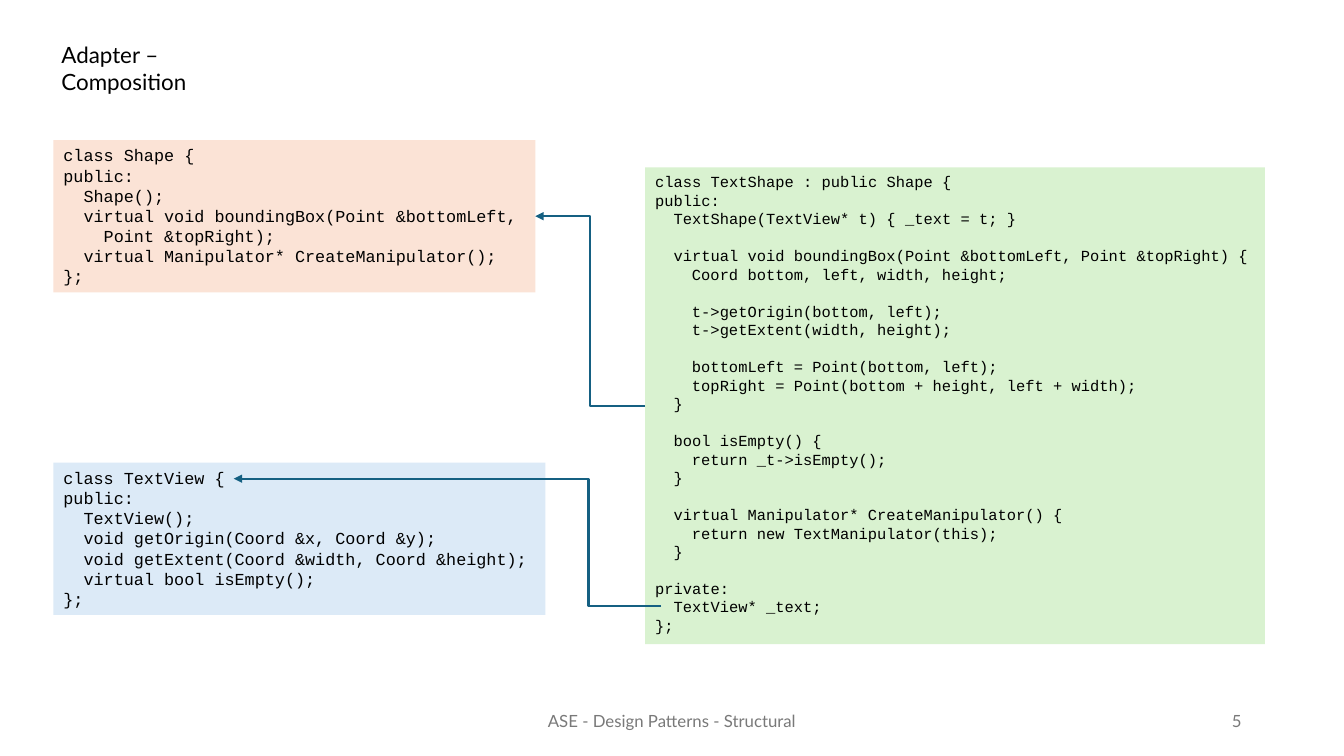
import pptx
import pptx.dml.color
import pptx.enum.shapes
import pptx.enum.text
import pptx.oxml
import pptx.oxml.ns
import pptx.shapes.autoshape
import pptx.shapes.connector
import pptx.slide
import pptx.text.text
import pptx.util
from dataclasses import dataclass

Pt = pptx.util.Pt
Align = pptx.enum.text.PP_ALIGN
Anchor = pptx.enum.text.MSO_ANCHOR


@dataclass(frozen=True)
class Theme:
    sans: str = "Lato"
    mono: str = "Courier New"
    ink: str = "000000"
    gray: str = "797979"
    line: str = "156082"
    peach: str = "FBE3D6"
    blue: str = "DCEAF7"
    green: str = "D9F2D0"
    title: float = 16
    code: float = 12
    small: float = 11
    foot: float = 12
    stroke: float = 1.5


@dataclass(frozen=True)
class Box:
    left: float
    top: float
    width: float
    height: float

    def lengths(self) -> list[pptx.util.Length]:
        return [Pt(n) for n in (self.left, self.top, self.width, self.height)]


@dataclass(frozen=True)
class Panel:
    box: Box
    fill: str
    size: float
    code: str


@dataclass(frozen=True)
class Note:
    box: Box
    text: str
    align: Align


THEME = Theme()

# Code panels
SHAPE = Panel(Box(38.2, 100.1, 344.2, 108.7), THEME.peach, THEME.code, """\
class Shape {
public:
  Shape();
  virtual void boundingBox(Point &bottomLeft,
    Point &topRight);
  virtual Manipulator* CreateManipulator();
};""")

VIEW = Panel(Box(38.2, 330.5, 351.4, 108.7), THEME.blue, THEME.code, """\
class TextView {
public:
  TextView();
  void getOrigin(Coord &x, Coord &y);
  void getExtent(Coord &width, Coord &height);
  virtual bool isEmpty();
};""")

ADAPTER = Panel(Box(460.8, 119.5, 442.8, 340.6), THEME.green, THEME.small, """\
class TextShape : public Shape {
public:
  TextShape(TextView* t) { _text = t; }

  virtual void boundingBox(Point &bottomLeft, Point &topRight) {
    Coord bottom, left, width, height;

    t->getOrigin(bottom, left);
    t->getExtent(width, height);

    bottomLeft = Point(bottom, left);
    topRight = Point(bottom + height, left + width);
  }

  bool isEmpty() {
    return _t->isEmpty();
  }

  virtual Manipulator* CreateManipulator() {
    return new TextManipulator(this);
  }

private:
  TextView* _text;
};""")

NOTES = (
    Note(Box(318, 500.5, 324, 28.8), "ASE - Design Patterns - Structural", Align.CENTER),
    Note(Box(678, 500.5, 216, 28.8), "5", Align.RIGHT),
)


def color(code: str) -> pptx.dml.color.RGBColor:
    return pptx.dml.color.RGBColor.from_string(code)


def style(para: pptx.text.text._Paragraph, face: str, size: float, tint: str,
          align: Align = Align.LEFT) -> None:
    para.alignment = align
    for run in para.runs:
        run.font.name = face
        run.font.size = Pt(size)
        run.font.color.rgb = color(tint)


def add_title(slide: pptx.slide.Slide, text: str) -> None:
    title = slide.shapes.title
    title.left, title.top, title.width, title.height = Box(36.7, 25.9, 174, 46).lengths()
    frame = title.text_frame
    frame.text = text
    frame.word_wrap = True
    frame.auto_size = pptx.enum.text.MSO_AUTO_SIZE.NONE
    frame.vertical_anchor = Anchor.TOP
    frame.margin_right = Pt(14)
    style(frame.paragraphs[0], THEME.sans, THEME.title, THEME.ink)


def add_note(slide: pptx.slide.Slide, note: Note) -> None:
    frame = slide.shapes.add_textbox(*note.box.lengths()).text_frame
    frame.text = note.text
    frame.word_wrap = True
    frame.vertical_anchor = Anchor.MIDDLE
    style(frame.paragraphs[0], THEME.sans, THEME.foot, THEME.gray, note.align)


def add_panel(slide: pptx.slide.Slide, panel: Panel) -> pptx.shapes.autoshape.Shape:
    kind = pptx.enum.shapes.MSO_SHAPE.RECTANGLE
    shape = slide.shapes.add_shape(kind, *panel.box.lengths())
    shape.shadow.inherit = False
    shape.fill.solid()
    shape.fill.fore_color.rgb = color(panel.fill)
    shape.line.fill.background()
    frame = shape.text_frame
    frame.word_wrap = True
    frame.vertical_anchor = Anchor.TOP
    # Leading spaces become indents, empty lines become space before
    lines = panel.code.splitlines()
    frame.text = "\n".join(line.strip() for line in lines if line)
    paras = iter(frame.paragraphs)
    for prior, line in zip([" "] + lines, lines):
        if not line:
            continue
        para = next(paras)
        style(para, THEME.mono, panel.size, THEME.ink)
        depth = len(line) - len(line.lstrip())
        para._p.get_or_add_pPr().set("marL", str(Pt(depth * 0.6 * panel.size)))
        if not prior:
            para.space_before = Pt(1.2 * panel.size)
    return shape


def add_arrow(slide: pptx.slide.Slide, start: tuple[float, float],
              end: tuple[float, float]) -> pptx.shapes.connector.Connector:
    kind = pptx.enum.shapes.MSO_CONNECTOR.ELBOW
    arrow = slide.shapes.add_connector(kind, *[Pt(n) for n in start + end])
    arrow.line.color.rgb = color(THEME.line)
    arrow.line.width = Pt(THEME.stroke)
    space = pptx.oxml.ns.nsdecls("a")
    arrow.line._get_or_add_ln().append(
        pptx.oxml.parse_xml(f'<a:tailEnd {space} type="triangle"/>'))
    arrow._element.spPr.append(pptx.oxml.parse_xml(f"<a:effectLst {space}/>"))
    return arrow


def set_bend(arrow: pptx.shapes.connector.Connector, share: float) -> None:
    guides = arrow._element.spPr.find(".//" + pptx.oxml.ns.qn("a:avLst"))
    guides.append(pptx.oxml.parse_xml(
        f'<a:gd {pptx.oxml.ns.nsdecls("a")} name="adj1" fmla="val {round(share * 100000)}"/>'))


def main() -> None:
    deck = pptx.Presentation()
    deck.slide_width, deck.slide_height = Pt(960), Pt(540)
    slide = deck.slides.add_slide(deck.slide_layouts[5])

    # Title and footer
    add_title(slide, "Adapter – Composition")
    for note in NOTES:
        add_note(slide, note)

    # Classes
    base, _, adapter = [add_panel(slide, panel) for panel in (SHAPE, VIEW, ADAPTER)]

    # Inheritance and composition arrows
    parent = add_arrow(slide, (460.8, 289.8), (382.4, 154.5))
    parent.begin_connect(adapter, 1)
    parent.end_connect(base, 3)
    member = add_arrow(slide, (472.3, 432.7), (167, 342))
    set_bend(member, 0.17)

    deck.save("out.pptx")


if __name__ == "__main__":
    main()
